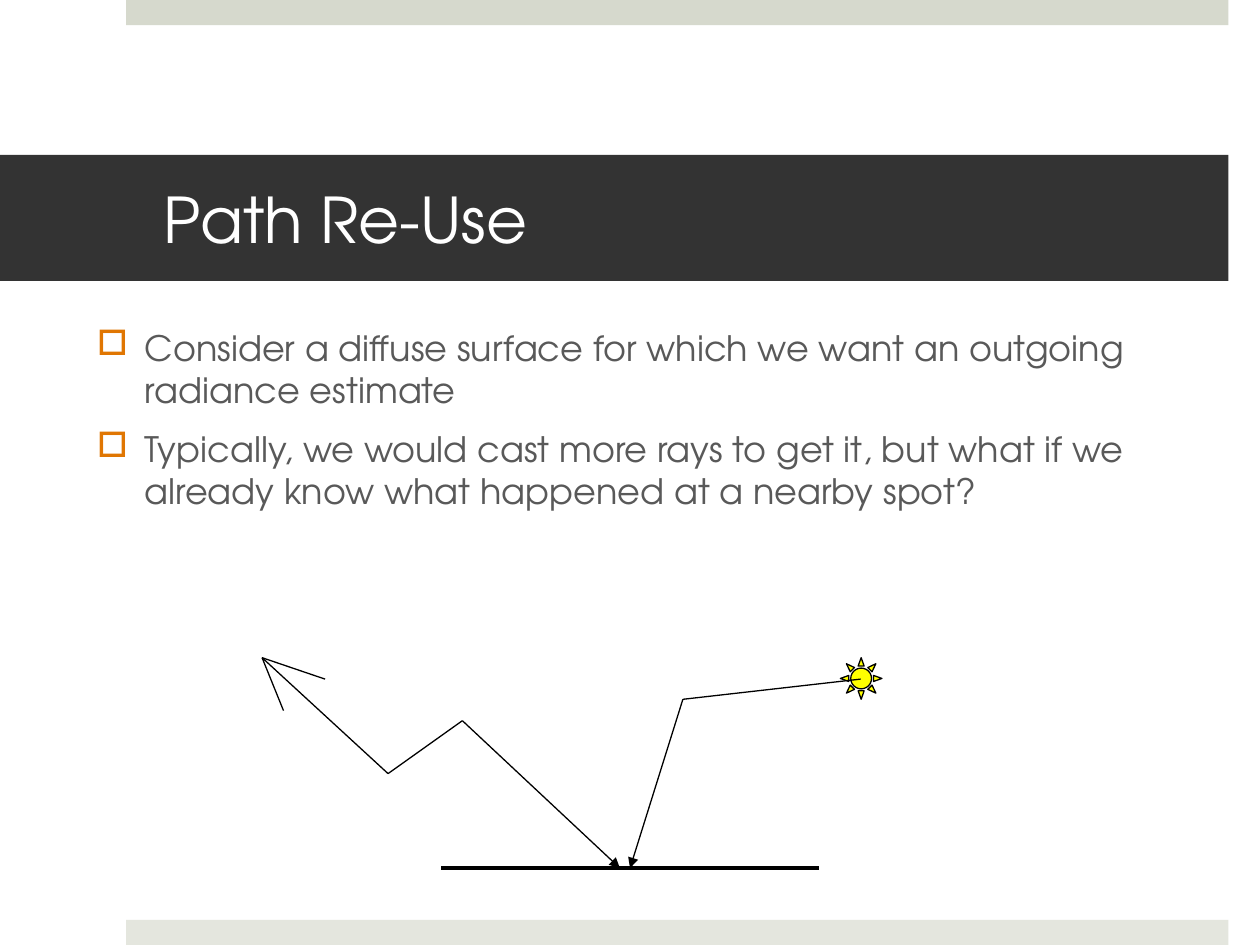
from itertools import pairwise

from lxml import etree
from pptx import Presentation, util as u
from pptx.dml.color import RGBColor
from pptx.enum import shapes, text
from pptx.oxml.ns import qn

KIND = shapes.MSO_SHAPE


def tint(code):
    return RGBColor.from_string(code)


class Deck:
    """Holds the style and the current slide, and draws each kind of element."""

    font = "TeX Gyre Adventor"
    ink = "000000"
    thin = 0.75

    def __init__(self, wide, high):
        self.show = Presentation()
        self.show.slide_width = u.Inches(wide)
        self.show.slide_height = u.Inches(high)
        self.slide = self.show.slides.add_slide(self.show.slide_layouts[6])

    def shape(self, kind, box, fill, edge=None):
        item = self.slide.shapes.add_shape(kind, *map(u.Inches, box))
        item.shadow.inherit = False
        item.fill.solid()
        item.fill.fore_color.rgb = tint(fill)
        if edge:
            item.line.color.rgb = tint(edge)
            item.line.width = u.Pt(self.thin)
        else:
            item.line.fill.background()
        return item

    def run(self, para, words, size, color):
        run = para.add_run()
        run.text = words
        run.font.name = self.font
        run.font.size = u.Pt(size)
        run.font.color.rgb = tint(color)

    def title(self, box, words):
        frame = self.shape(KIND.RECTANGLE, box, "333333").text_frame
        frame.word_wrap = True
        frame.vertical_anchor = text.MSO_ANCHOR.MIDDLE
        frame.margin_left, frame.margin_right = u.Inches(1.3), u.Inches(0.3)
        para = frame.paragraphs[0]
        para.alignment = text.PP_ALIGN.LEFT
        self.run(para, words, 36, "FFFFFF")

    def bullet(self, para, mark, color):
        props = para._p.get_or_add_pPr()
        props.set("marL", str(u.Inches(0.38)))
        props.set("indent", str(u.Inches(-0.38)))
        hue = etree.SubElement(props, qn("a:buClr"))
        etree.SubElement(hue, qn("a:srgbClr"), val=color)
        etree.SubElement(props, qn("a:buChar"), char=mark)

    def list(self, box, items):
        frame = self.slide.shapes.add_textbox(*map(u.Inches, box)).text_frame
        frame.word_wrap = True
        for i, words in enumerate(items):
            para = frame.add_paragraph() if i else frame.paragraphs[0]
            self.bullet(para, "□", "E07602")
            if i:
                para.space_before = u.Pt(10)
            self.run(para, words, 20, "595959")

    def line(self, start, end, width=thin, arrow=False):
        item = self.slide.shapes.add_connector(
            shapes.MSO_CONNECTOR.STRAIGHT, *map(u.Inches, start + end))
        item.line.color.rgb = tint(self.ink)
        item.line.width = u.Pt(width)
        if arrow:
            etree.SubElement(item.line._get_or_add_ln(), qn("a:tailEnd"), type="triangle")
        etree.SubElement(item._element.spPr, qn("a:effectLst"))

    def ray(self, *points):
        for start, end in pairwise(points):
            self.line(start, end, arrow=end == points[-1])

    def sun(self, box):
        self.shape(KIND.SUN, box, "FFFF00", self.ink).adjustments[0] = 0.25


def main():
    deck = Deck(10, 7.5)
    deck.shape(KIND.RECTANGLE, (1, 0, 8.75, 0.2), "D6D9CD")
    deck.shape(KIND.RECTANGLE, (1, 7.3, 8.75, 0.2), "E4E6DE")
    deck.title((0, 1.23, 9.75, 1), "Path Re-Use")
    deck.list((0.67, 2.54, 8.67, 1.83), [
        "Consider a diffuse surface for which we want an outgoing radiance estimate",
        "Typically, we would cast more rays to get it, but what if we "
        "already know what happened at a nearby spot?",
    ])

    deck.line((3.5, 6.89), (6.5, 6.89), 2.25)
    eye = (2.08, 5.22)
    for edge in ((2.25, 5.64), (2.58, 5.39)):
        deck.line(eye, edge)
    deck.ray(eye, (3.08, 6.14), (3.67, 5.72), (4.92, 6.89))
    deck.sun((6.67, 5.22, 0.33, 0.33))
    deck.ray((6.83, 5.39), (5.42, 5.55), (5, 6.89))
    deck.show.save("out.pptx")


if __name__ == "__main__":
    main()
